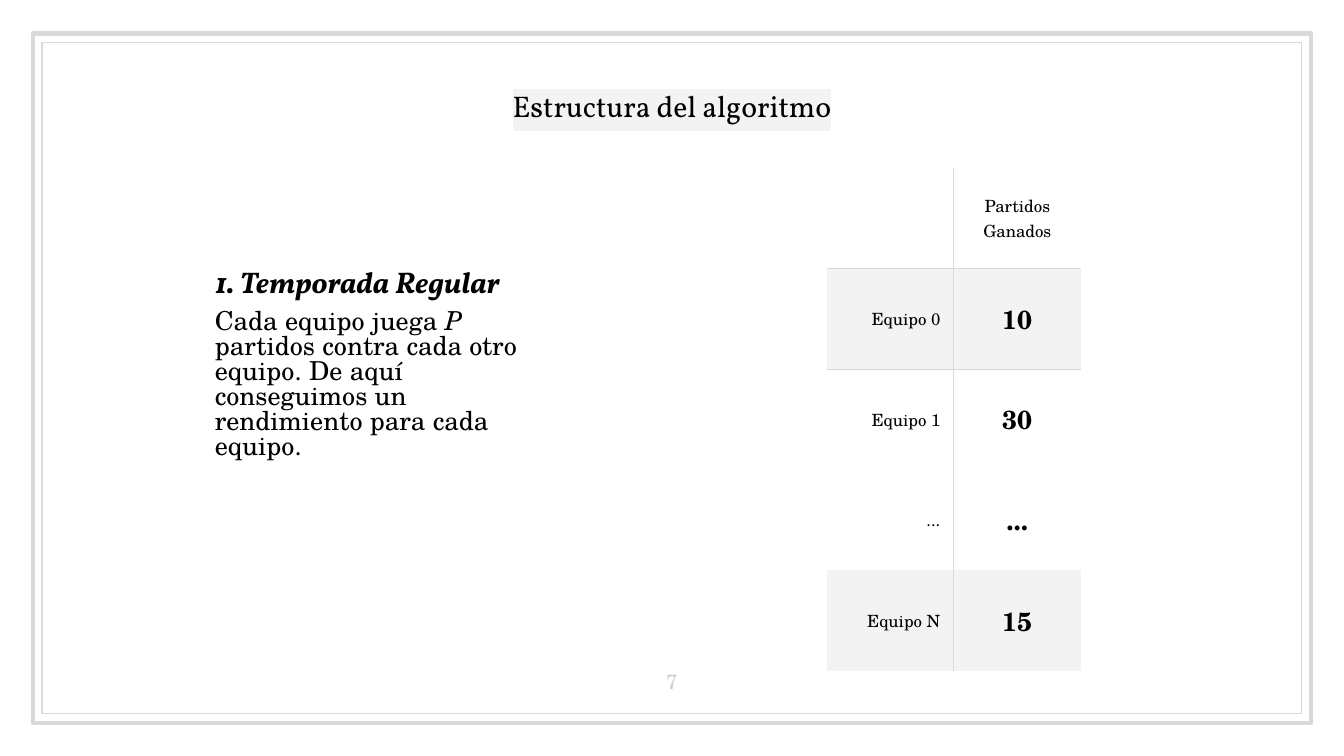
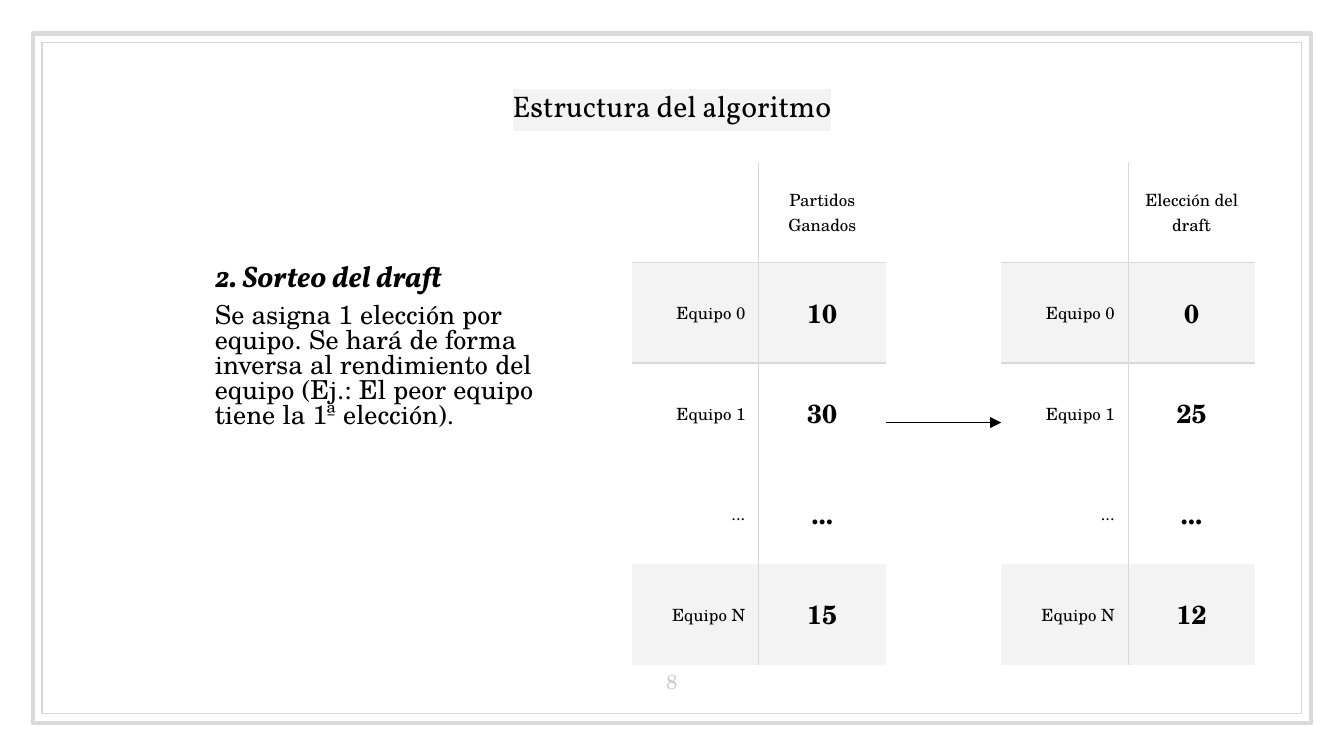
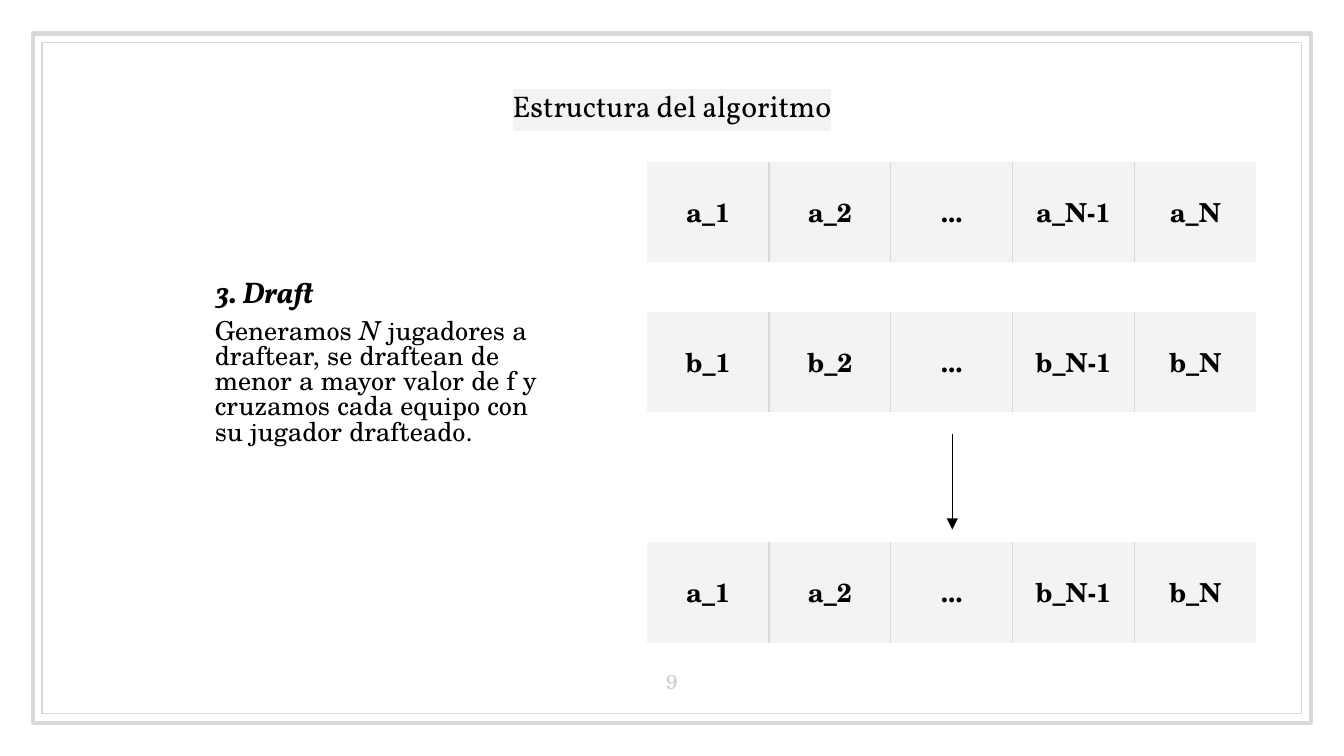
from dataclasses import dataclass

from pptx import Presentation
from pptx.dml.color import RGBColor
from pptx.enum.shapes import MSO_CONNECTOR, MSO_SHAPE
from pptx.enum.text import MSO_ANCHOR as Anchor, MSO_AUTO_SIZE, PP_ALIGN as Align
from pptx.oxml.ns import qn
from pptx.oxml.xmlchemy import OxmlElement
from pptx.slide import Slide
from pptx.text.text import TextFrame, _Paragraph as Paragraph
from pptx.util import Pt

BLACK = RGBColor(0x00, 0x00, 0x00)
WHITE = RGBColor(0xFF, 0xFF, 0xFF)
PALE = RGBColor(0xF3, 0xF3, 0xF3)
RULE = RGBColor(0xD9, 0xD9, 0xD9)
NUMBER_GREY = RGBColor(0xCC, 0xCC, 0xCC)
HEAD_FONT = "Vollkorn"
BODY_FONT = "TeX Gyre Schola"
NO_GRID_STYLE = "{2D5ABB26-0587-4C30-8999-92F81FD0307C}"
TITLE = "Estructura del algoritmo"
INSET = 7.2
ROW_HEIGHT = 53.9
TEAM_WIDTH = 68
PICK_WIDTH = 65.25
PICKS_LEFT = 346.8
TEAMS = ("Equipo 0", "Equipo 1", "...", "Equipo N")
WINS = ("10", "30", "...", "15")
DRAFT_PICKS = ("0", "25", "...", "12")


@dataclass(frozen=True)
class Frame:
    left: float
    top: float
    width: float
    height: float
    weight: float


@dataclass(frozen=True)
class Cell:
    text: str
    fill: RGBColor | None = PALE
    size: float = 14
    bold: bool = True
    align: Align = Align.CENTER


@dataclass(frozen=True)
class Grid:
    left: float
    top: float
    col_width: float
    rows: list[list[Cell]]


@dataclass(frozen=True)
class Arrow:
    x1: float
    y1: float
    x2: float
    y2: float


@dataclass(frozen=True)
class Step:
    number: int
    heading: str
    body: tuple[tuple[str, bool], ...]
    top: float
    height: float
    grids: tuple[Grid, ...]
    arrows: tuple[Arrow, ...] = ()


FRAMES = (Frame(17.5, 18, 685, 369.3, 2.25), Frame(22.6, 22.9, 674.8, 359.5, 0.75))


def team_grid(left: float, top: float, header: str, values: tuple[str, ...]) -> Grid:
    rows = [[Cell("", None), Cell(header, None, 9, False)]]
    for team, value, fill in zip(TEAMS, values, (PALE, WHITE, WHITE, PALE)):
        rows.append([Cell(team, fill, 9, False, Align.RIGHT), Cell(value, fill)])
    return Grid(left, top, TEAM_WIDTH, rows)


def pick_grid(top: float, first: str, last: str) -> Grid:
    labels = (f"{first}_1", f"{first}_2", "...", f"{last}_N-1", f"{last}_N")
    return Grid(PICKS_LEFT, top, PICK_WIDTH, [[Cell(label) for label in labels]])


STEPS = (
    Step(
        7,
        "1. Temporada Regular",
        (
            ("Cada equipo juega ", False),
            ("P", True),
            (" partidos contra cada otro equipo. De aquí conseguimos un "
             "rendimiento para cada equipo.", False),
        ),
        137.7,
        136,
        (team_grid(443, 90, "Partidos Ganados", WINS),),
    ),
    Step(
        8,
        "2. Sorteo del draft",
        (
            ("Se asigna 1 elección por equipo. Se hará de forma inversa al "
             "rendimiento del equipo (Ej.: El peor equipo tiene la 1ª elección).", False),
        ),
        134.5,
        136,
        (
            team_grid(338.5, 86.7, "Partidos Ganados", WINS),
            team_grid(536.4, 86.7, "Elección del draft", DRAFT_PICKS),
        ),
        (Arrow(474.5, 226.4, 536.4, 226.4),),
    ),
    Step(
        9,
        "3. Draft",
        (
            ("Generamos ", False),
            ("N", True),
            (" jugadores a draftear, se draftean de menor a mayor valor de f y "
             "cruzamos cada equipo con su jugador drafteado.", False),
        ),
        143.2,
        119,
        (pick_grid(86.7, "a", "a"), pick_grid(167, "b", "b"), pick_grid(290.5, "a", "b")),
        (Arrow(510.2, 232.4, 510.2, 283.7),),
    ),
)


def write(p: Paragraph, text: str, *, size: float, font: str = BODY_FONT,
          color: RGBColor = BLACK, bold: bool = False, italic: bool = False,
          highlight: RGBColor | None = None) -> None:
    r = p.add_run()
    r.text = text
    r.font.size = Pt(size)
    r.font.bold = bold
    r.font.italic = italic
    r.font.color.rgb = color
    r.font.name = font
    if highlight is not None:
        mark = OxmlElement("a:highlight")
        tint = OxmlElement("a:srgbClr")
        tint.set("val", str(highlight))
        mark.append(tint)
        r.font.fill
        r._r.rPr.find(qn("a:latin")).addprevious(mark)


def set_frame(tf: TextFrame, anchor: Anchor) -> None:
    tf.word_wrap = True
    tf.auto_size = MSO_AUTO_SIZE.NONE
    tf.vertical_anchor = anchor
    tf.margin_left = tf.margin_right = tf.margin_top = tf.margin_bottom = Pt(INSET)


def add_text_box(slide: Slide, left: float, top: float, width: float, height: float,
                 anchor: Anchor = Anchor.TOP) -> TextFrame:
    tf = slide.shapes.add_textbox(Pt(left), Pt(top), Pt(width), Pt(height)).text_frame
    set_frame(tf, anchor)
    return tf


def move_frames_to_layout(slide: Slide) -> None:
    """Draw the double frame and hand it to the layout that all slides share."""
    for shape_id, frame in enumerate(FRAMES, start=20):
        sp = slide.shapes.add_shape(MSO_SHAPE.RECTANGLE, Pt(frame.left), Pt(frame.top),
                                    Pt(frame.width), Pt(frame.height))
        sp.shadow.inherit = False
        sp.fill.background()
        sp.line.color.rgb = RULE
        sp.line.width = Pt(frame.weight)
        sp.element.nvSpPr.cNvPr.id = shape_id
        slide.slide_layout.shapes.element.append(sp.element)


def add_title(slide: Slide) -> None:
    title = slide.shapes.title
    title.left, title.top, title.width, title.height = Pt(30.6), Pt(26.6), Pt(658.8), Pt(59.8)
    set_frame(title.text_frame, Anchor.MIDDLE)
    p = title.text_frame.paragraphs[0]
    p.alignment = Align.CENTER
    write(p, TITLE, size=16, font=HEAD_FONT, highlight=PALE)


def add_explanation(slide: Slide, step: Step) -> None:
    tf = add_text_box(slide, 108, step.top, 194.4, step.height)
    heading, body = tf.paragraphs[0], tf.add_paragraph()
    for p in (heading, body):
        p.space_before = Pt(6)
        p.line_spacing = 0.8
    write(heading, step.heading, size=16, font=HEAD_FONT, bold=True, italic=True)
    for text, italic in step.body:
        write(body, text, size=14, italic=italic)


def add_number(slide: Slide, number: int) -> None:
    p = add_text_box(slide, 338.4, 347.8, 43.2, 31, Anchor.BOTTOM).paragraphs[0]
    p.alignment = Align.CENTER
    write(p, str(number), size=11, color=NUMBER_GREY)


def add_grid(slide: Slide, grid: Grid) -> None:
    n_rows, n_cols = len(grid.rows), len(grid.rows[0])
    gf = slide.shapes.add_table(n_rows, n_cols, Pt(grid.left), Pt(grid.top),
                                Pt(grid.col_width * n_cols), Pt(ROW_HEIGHT * n_rows))
    table = gf.table
    table.first_row = table.horz_banding = False
    next(gf.element.iter(qn("a:tableStyleId"))).text = NO_GRID_STYLE
    for col in table.columns:
        col.width = Pt(grid.col_width)
    for i, row in enumerate(grid.rows):
        table.rows[i].height = Pt(ROW_HEIGHT)
        for j, spec_cell in enumerate(row):
            cell = table.cell(i, j)
            sides = {"L": j > 0, "R": j < n_cols - 1, "T": i == 1,
                     "B": i == 0 and n_rows > 1}
            for side, shown in sides.items():
                if shown:
                    add_border(cell._tc.get_or_add_tcPr(), side)
            if spec_cell.fill is None:
                cell.fill.background()
            else:
                cell.fill.solid()
                cell.fill.fore_color.rgb = spec_cell.fill
            cell.vertical_anchor = Anchor.MIDDLE
            cell.margin_left = cell.margin_right = Pt(INSET)
            cell.margin_top = cell.margin_bottom = Pt(5)
            if spec_cell.text:
                p = cell.text_frame.paragraphs[0]
                p.alignment = spec_cell.align
                write(p, spec_cell.text, size=spec_cell.size, bold=spec_cell.bold)


def add_border(properties: OxmlElement, side: str) -> None:
    ln = OxmlElement(f"a:ln{side}")
    ln.set("w", str(Pt(0.75)))
    fill, color = OxmlElement("a:solidFill"), OxmlElement("a:srgbClr")
    color.set("val", str(RULE))
    fill.append(color)
    ln.append(fill)
    properties.append(ln)


def add_arrow(slide: Slide, arrow: Arrow) -> None:
    line = slide.shapes.add_connector(MSO_CONNECTOR.STRAIGHT, Pt(arrow.x1), Pt(arrow.y1),
                                      Pt(arrow.x2), Pt(arrow.y2))
    line.line.color.rgb = BLACK
    line.line.width = Pt(0.75)
    tail = OxmlElement("a:tailEnd")
    tail.set("type", "triangle")
    line.line._get_or_add_ln().append(tail)
    line.element.spPr.append(OxmlElement("a:effectLst"))


def main() -> None:
    prs = Presentation()
    prs.slide_width, prs.slide_height = Pt(720), Pt(405)
    layout = prs.slide_layouts[5]
    for step in STEPS:
        slide = prs.slides.add_slide(layout)
        if step is STEPS[0]:
            move_frames_to_layout(slide)
        add_title(slide)
        add_explanation(slide, step)
        add_number(slide, step.number)
        for grid in step.grids:
            add_grid(slide, grid)
        for arrow in step.arrows:
            add_arrow(slide, arrow)
    prs.save("out.pptx")


if __name__ == "__main__":
    main()
